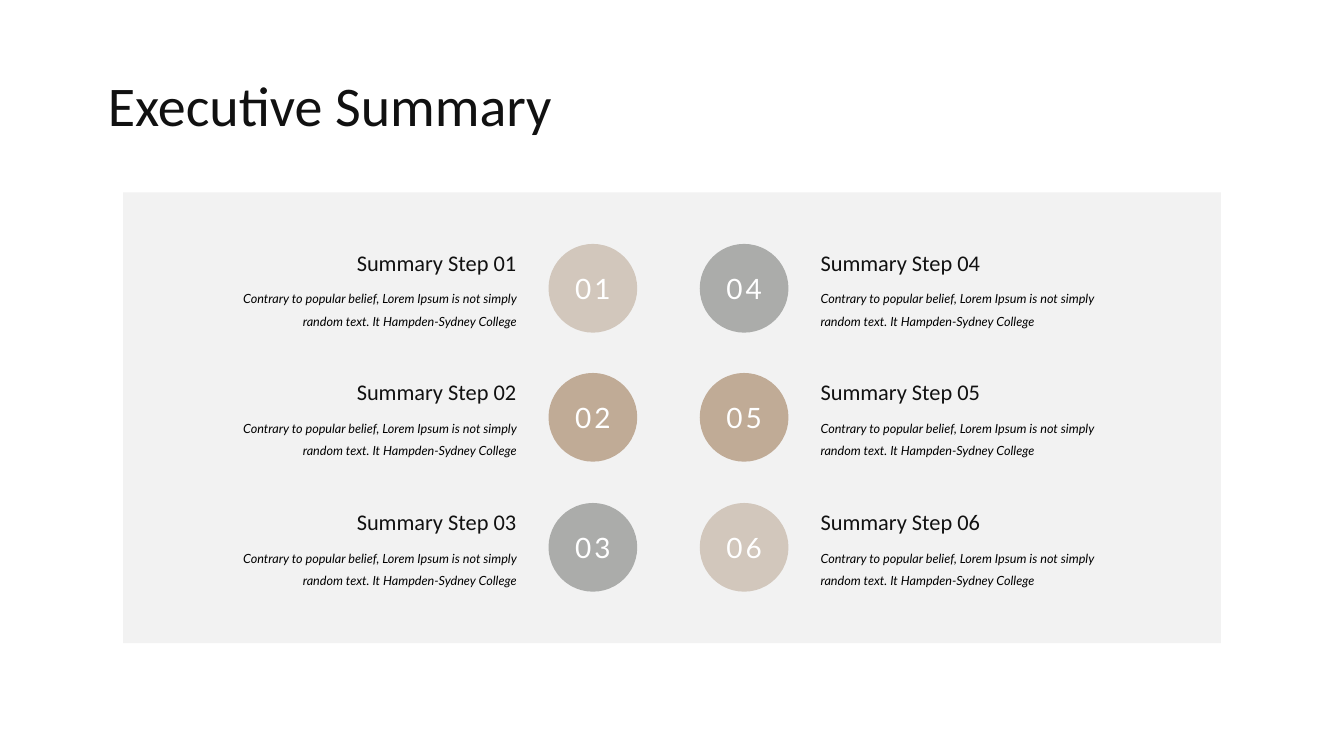
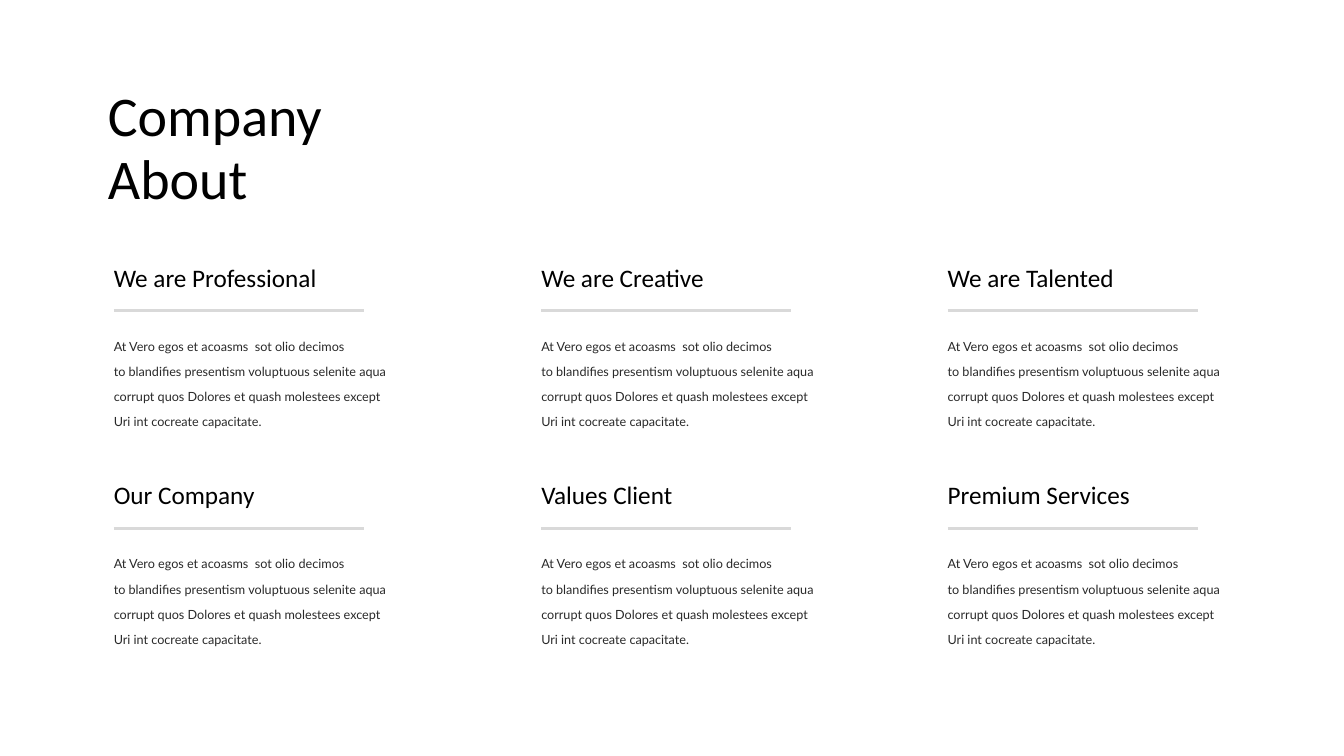
from lxml.etree import SubElement
from pptx import Presentation
from pptx.dml.color import RGBColor
from pptx.enum.shapes import MSO_CONNECTOR, MSO_SHAPE
from pptx.enum.text import MSO_ANCHOR, MSO_AUTO_SIZE, PP_ALIGN
from pptx.oxml.ns import qn
from pptx.util import Inches, Pt

COLORS = {
    "ink": "111111",
    "black": "000000",
    "body": "292929",
    "white": "FFFFFF",
    "panel": "F2F2F2",
    "rule": "D9D9D9",
    "sand": "D2C7BC",
    "tan": "C0AB96",
    "gray": "ABACAA",
}


def write(shape, lines, size, color, face="Calibri", align=PP_ALIGN.LEFT,
          leading=None, italic=False, anchor=MSO_ANCHOR.TOP):
    frame = shape.text_frame
    frame.word_wrap = True
    frame.auto_size = MSO_AUTO_SIZE.NONE
    frame.vertical_anchor = anchor
    for index, line in enumerate(lines):
        paragraph = frame.add_paragraph() if index else frame.paragraphs[0]
        paragraph.alignment = align
        if leading:
            paragraph.line_spacing = Pt(leading)
        run = paragraph.add_run()
        run.text = line
        run.font.name = face
        run.font.size = Pt(size)
        run.font.italic = italic
        run.font.color.rgb = RGBColor.from_string(COLORS[color])
    return frame


def add_titled_slide(lines, box, color, leading):
    slide = prs.slides.add_slide(prs.slide_layouts[5])
    title = slide.shapes.title
    title.left, title.top, title.width, title.height = map(Inches, box)
    write(title, lines, 40, color, leading=leading)
    return slide.shapes


prs = Presentation()
prs.slide_width, prs.slide_height = Inches(13.33), Inches(7.5)

summary = add_titled_slide(["Executive Summary"], (0.97, 0.55, 5.09, 0.93), "ink", 55)
panel = summary.add_shape(MSO_SHAPE.RECTANGLE, Inches(1.22), Inches(1.91),
                          Inches(10.89), Inches(4.47))
panel.shadow.inherit = False
panel.fill.solid()
panel.fill.fore_color.rgb = RGBColor.from_string(COLORS["panel"])
panel.line.fill.background()

step_tops = (2.42, 3.7, 4.99)
step_columns = [
    (5.44, 2.11, PP_ALIGN.RIGHT, ("sand", "tan", "gray")),
    (6.94, 8.04, PP_ALIGN.LEFT, ("gray", "tan", "sand")),
]
step_text = ("Contrary to popular belief, Lorem Ipsum is not simply "
             "random text. It Hampden-Sydney College")
step = 0
for badge_left, text_left, align, badge_colors in step_columns:
    for top, badge_color in zip(step_tops, badge_colors):
        step += 1
        badge = summary.add_shape(MSO_SHAPE.OVAL, Inches(badge_left), Inches(top),
                                  Inches(0.88), Inches(0.88))
        badge.shadow.inherit = False
        badge.fill.solid()
        badge.fill.fore_color.rgb = RGBColor.from_string(COLORS[badge_color])
        badge.line.fill.background()
        number = write(badge, [f"{step:02d}"], 20, "white", "Lato",
                       PP_ALIGN.CENTER, anchor=MSO_ANCHOR.MIDDLE)
        number.margin_left = number.margin_right = 0
        number.margin_top = number.margin_bottom = 0
        number.paragraphs[0].runs[0].font._element.set("spc", "200")

        heading = summary.add_textbox(Inches(text_left), Inches(top),
                                      Inches(3.11), Inches(0.37))
        write(heading, [f"Summary Step {step:02d}"], 16, "ink", align=align)
        detail = summary.add_textbox(Inches(text_left), Inches(top + 0.35),
                                     Inches(3.11), Inches(0.53))
        write(detail, [step_text], 9, "black", "Lato", align, 16, True)

about = add_titled_slide(["Company", "About"], (0.97, 0.79, 4.38, 1.36), "black", 45)
value_lefts = (1.03, 5.27, 9.3)
value_rows = [
    (2.55, ("We are Professional", "We are Creative", "We are Talented")),
    (4.71, ("Our Company", "Values Client", "Premium Services")),
]
value_text = [
    "At Vero egos et acoasms  sot olio decimos",
    "to blandifies presentism voluptuous selenite aqua",
    "corrupt quos Dolores et quash molestees except Uri int cocreate capacitate.",
]
for top, names in value_rows:
    for left, name in zip(value_lefts, names):
        heading = about.add_textbox(Inches(left), Inches(top), Inches(2.49), Inches(0.4))
        write(heading, [name], 18, "black")
        rule_left, rule_top = left + 0.1, top + 0.53
        rule = about.add_connector(MSO_CONNECTOR.STRAIGHT, Inches(rule_left), Inches(rule_top),
                                   Inches(rule_left + 2.48), Inches(rule_top))
        rule.line.color.rgb = RGBColor.from_string(COLORS["rule"])
        rule.line.width = Pt(2.25)
        SubElement(rule._element.spPr, qn("a:effectLst"))
        detail = about.add_textbox(Inches(left), Inches(top + 0.66), Inches(3.01), Inches(1.11))
        write(detail, value_text, 9, "body", "Lato", leading=18)

prs.save("out.pptx")
